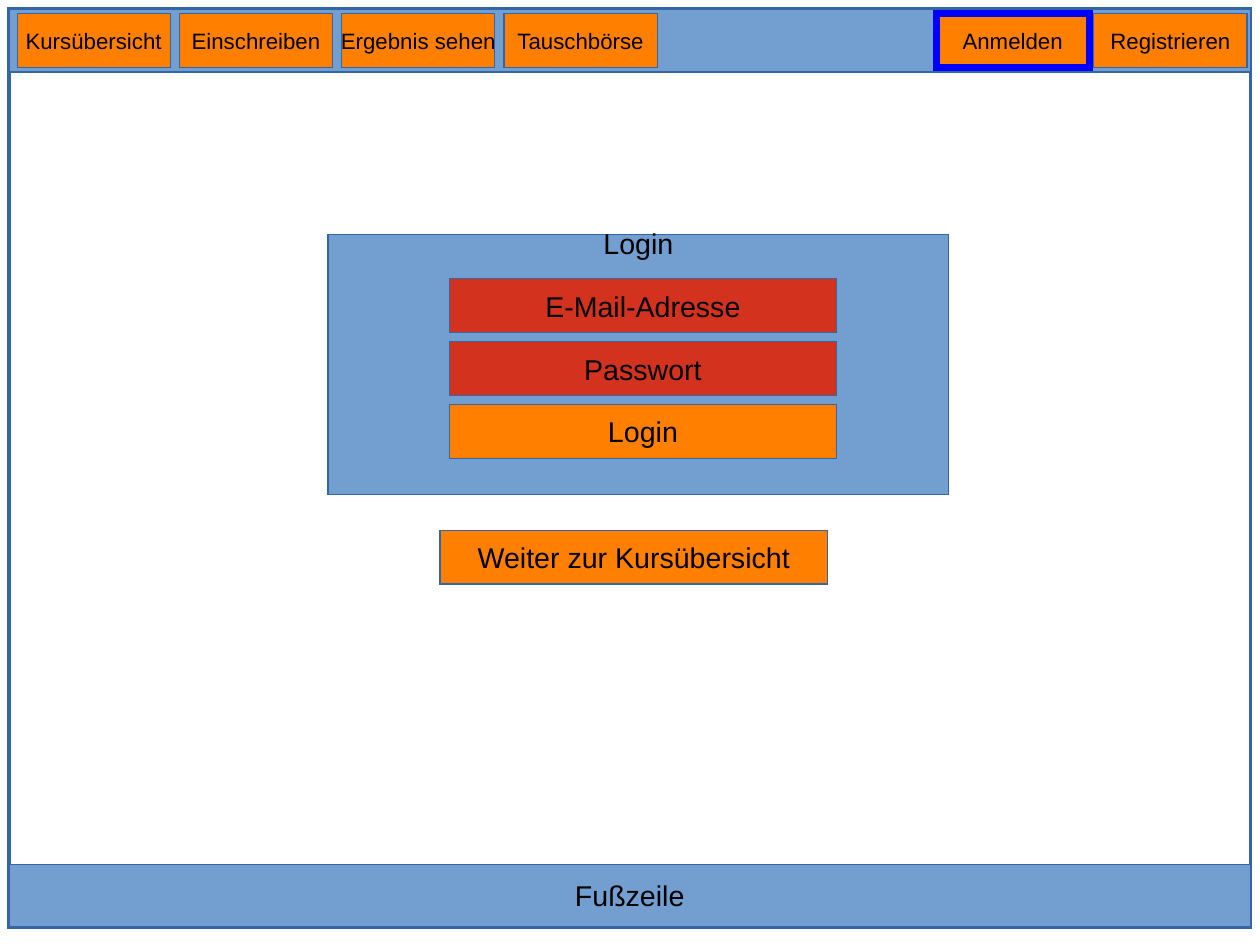
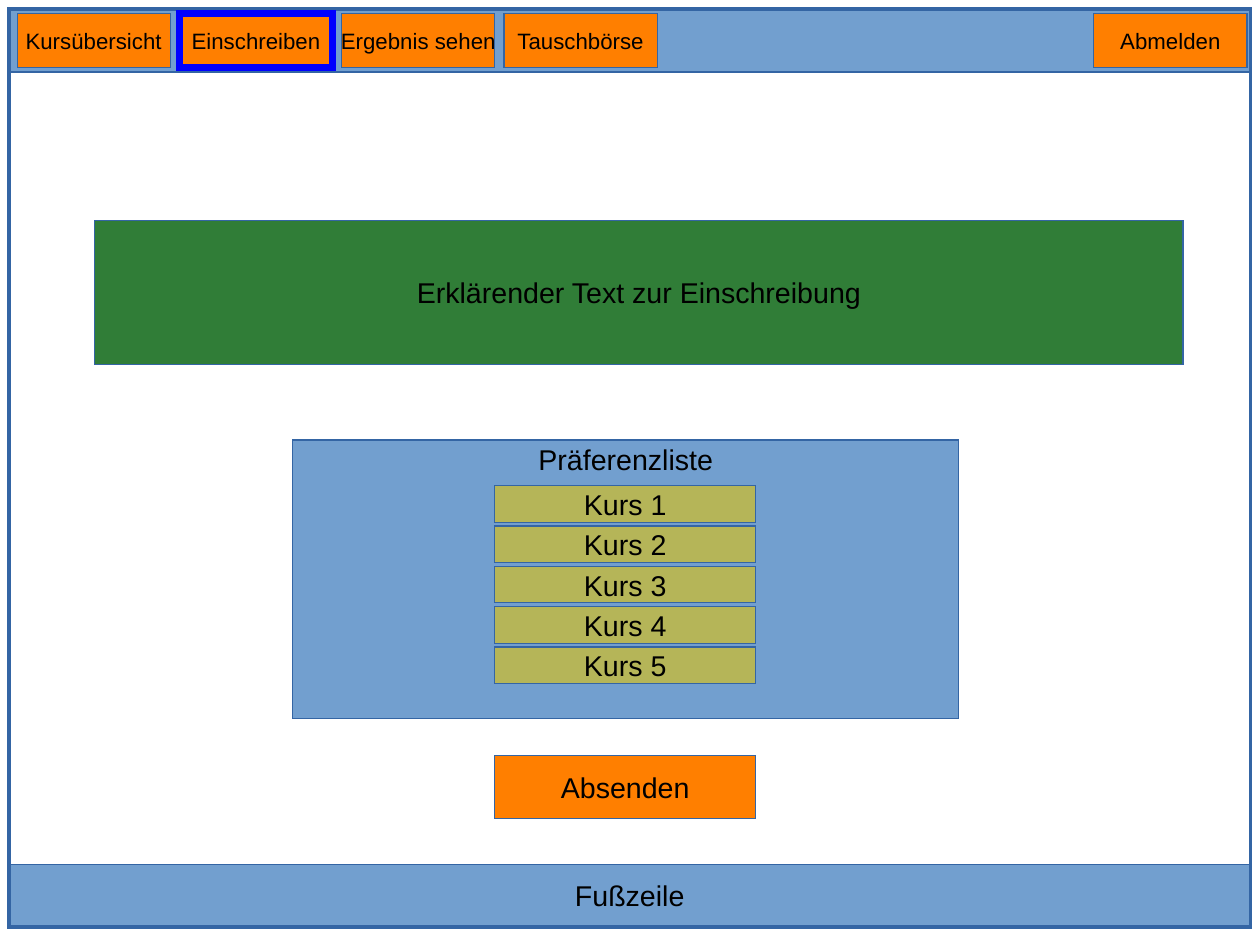
from lxml import etree
from pptx import Presentation
from pptx.dml.color import RGBColor
from pptx.enum import shapes, text
from pptx.oxml.ns import qn
from pptx.util import Cm, Inches, Pt

# Content
NAV = ["Kursübersicht", "Einschreiben", "Ergebnis sehen", "Tauschbörse"]
FOOTER = "Fußzeile"
LOGIN = {
    "account": ["Registrieren", "Anmelden"],  # from the right edge inwards
    "active": "Anmelden",
    "title": "Login",
    "title_top": 1.98,
    "panel": (2.87, 2.05, 5.43, 2.28),
    "rows": [("E-Mail-Adresse", "red"), ("Passwort", "red"), ("Login", "orange")],
    "stack": (3.93, 2.44, 3.39, 1.57),
    "row_height": 0.47,
    "boxes": [("Weiter zur Kursübersicht", "orange", (3.85, 4.64, 3.39, 0.47))],
    "frame_on_top": False,
}
ENROLMENT = {
    "account": ["Abmelden"],
    "active": "Einschreiben",
    "title": "Präferenzliste",
    "title_top": 3.87,
    "panel": (2.56, 3.85, 5.83, 2.44),
    "rows": [(f"Kurs {n}", "olive") for n in range(1, 6)],
    "stack": (4.33, 4.25, 2.28, 1.73),
    "row_height": 0.32,
    "boxes": [
        ("Erklärender Text zur Einschreibung", "green", (0.83, 1.93, 9.52, 1.26)),
        ("Absenden", "orange", (4.33, 6.61, 2.28, 0.55)),
    ],
    "frame_on_top": True,
}

# Shared look
COLORS = {"blue": "729FCF", "orange": "FF7F00", "red": "D3321F",
          "olive": "B5B558", "green": "307D37"}
BORDER, HIGHLIGHT, INK = "3465A4", "0000FF", "000000"
FONT = "Arial"
FRAME = (0.08, 0.08, 10.86, 8.03)
BAND_HEIGHT = 0.55
BUTTON_TOP, BUTTON_WIDTH, BUTTON_HEIGHT = 0.12, 1.34, 0.47
NAV_LEFT, NAV_GAP = 0.15, 0.08
ACCOUNT_LEFT, ACCOUNT_GAP = 9.57, 0.04


def rgb(value):
    return RGBColor.from_string(value)


def set_text(sp, label, size):
    tf = sp.text_frame
    tf.word_wrap = False
    tf.auto_size = text.MSO_AUTO_SIZE.NONE
    tf.vertical_anchor = text.MSO_ANCHOR.MIDDLE
    p = tf.paragraphs[0]
    p.text = label
    p.alignment = text.PP_ALIGN.CENTER
    p.font.name = FONT
    p.font.size = Pt(size)
    p.font.color.rgb = rgb(INK)


def add_box(slide, at, fill=None, label="", size=18, line=BORDER, width=0):
    sp = slide.shapes.add_shape(shapes.MSO_SHAPE.RECTANGLE, *map(Inches, at))
    sp.shadow.inherit = False
    if fill:
        sp.fill.solid()
        sp.fill.fore_color.rgb = rgb(COLORS[fill])
    else:
        sp.fill.background()
    sp.line.color.rgb = rgb(line)
    sp.line.width = Pt(width)
    # Square corners on the outline
    etree.SubElement(sp.element.spPr.find(qn("a:ln")), qn("a:miter"), lim="800000")
    if label:
        set_text(sp, label, size)
    return sp


def add_button(slide, label, left, active):
    style = {"line": HIGHLIGHT, "width": 4.5} if label == active else {}
    at = (left, BUTTON_TOP, BUTTON_WIDTH, BUTTON_HEIGHT)
    add_box(slide, at, "orange", label, 14, **style)


def add_bands(slide):
    left, top, width, height = FRAME
    add_box(slide, (left, top, width, BAND_HEIGHT), "blue")
    footer_top = top + height - BAND_HEIGHT
    add_box(slide, (left, footer_top, width, BAND_HEIGHT), "blue", FOOTER)


def add_frame(slide):
    add_box(slide, FRAME, width=2.3)


def add_navigation(slide, page):
    for i, label in enumerate(NAV):
        left = NAV_LEFT + i * (BUTTON_WIDTH + NAV_GAP)
        add_button(slide, label, left, page["active"])
    for i, label in enumerate(page["account"]):
        left = ACCOUNT_LEFT - i * (BUTTON_WIDTH + ACCOUNT_GAP)
        add_button(slide, label, left, page["active"])


def add_panel(slide, page):
    panel = add_box(slide, page["panel"], "blue")
    title = slide.shapes.title
    title.left, title.width = panel.left, panel.width
    title.top, title.height = Inches(page["title_top"]), Inches(0.3)
    set_text(title, page["title"], 18)
    tf = title.text_frame
    tf.margin_top = tf.margin_bottom = 0
    panel.element.addnext(title.element)  # the title lies on the panel

    # Rows spread evenly over the height of the stack
    left, top, width, height = page["stack"]
    row_height = page["row_height"]
    step = (height - row_height) / (len(page["rows"]) - 1)
    for i, (label, fill) in enumerate(page["rows"]):
        add_box(slide, (left, top + i * step, width, row_height), fill, label)


def add_page(prs, page):
    slide = prs.slides.add_slide(prs.slide_layouts[5])
    add_panel(slide, page)
    for label, fill, at in page["boxes"]:
        add_box(slide, at, fill, label)
    layers = [add_frame, add_bands]
    for add_layer in reversed(layers) if page["frame_on_top"] else layers:
        add_layer(slide)
    add_navigation(slide, page)


def main():
    prs = Presentation()
    prs.slide_width, prs.slide_height = Cm(28), Cm(21)
    for page in (LOGIN, ENROLMENT):
        add_page(prs, page)
    prs.save("out.pptx")


if __name__ == "__main__":
    main()
